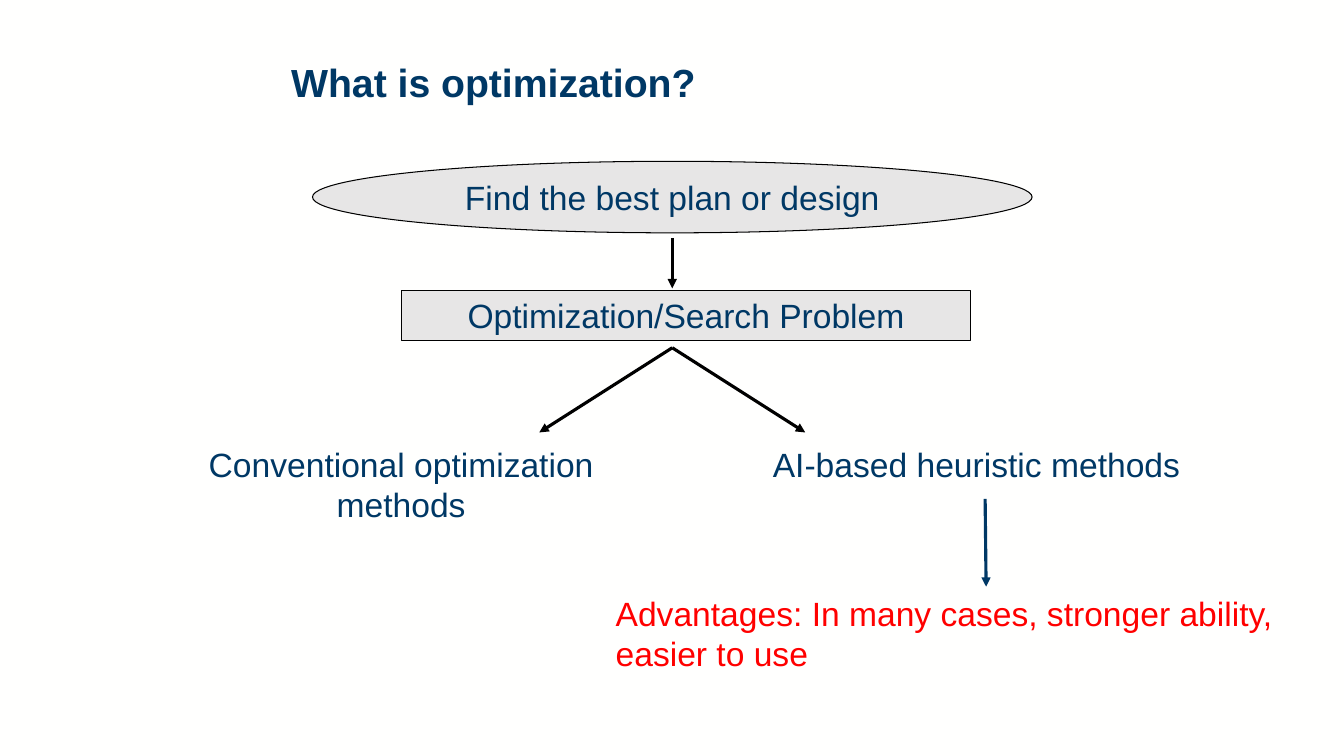
from lxml.etree import SubElement
from pptx import Presentation
from pptx.dml.color import RGBColor
from pptx.enum.shapes import MSO_CONNECTOR as Connector, MSO_SHAPE as Shape
from pptx.enum.text import MSO_ANCHOR as Anchor, PP_ALIGN as Align
from pptx.oxml.ns import qn
from pptx.util import Pt

NAVY = RGBColor(0x00, 0x38, 0x65)
RED = RGBColor(0xFF, 0x00, 0x00)
BLACK = RGBColor(0x00, 0x00, 0x00)
GREY = RGBColor(0xE7, 0xE6, 0xE6)
PAPER = RGBColor(0xFF, 0xFF, 0xFE)


def write(holder, text, size=24, color=NAVY, bold=False, align=Align.LEFT,
          anchor=Anchor.TOP, spacing=1.0):
    frame = holder.text_frame
    frame.word_wrap = True
    frame.vertical_anchor = anchor
    paragraph = frame.paragraphs[0]
    paragraph.alignment = align
    paragraph.line_spacing = spacing
    run = paragraph.add_run()
    run.text = text
    run.font.name = "Arial"
    run.font.size = Pt(size)
    run.font.bold = bold
    run.font.color.rgb = color


def add_label(slide, box, text, **style):
    write(slide.shapes.add_textbox(*map(Pt, box)), text, **style)


def add_node(slide, kind, box, text):
    node = slide.shapes.add_shape(kind, *map(Pt, box))
    node.shadow.inherit = False
    node.fill.solid()
    node.fill.fore_color.rgb = GREY
    node.line.color.rgb = BLACK
    node.line.width = Pt(0.75)
    write(node, text, align=Align.CENTER, anchor=Anchor.MIDDLE)


def add_arrow(slide, start, end, color=BLACK):
    arrow = slide.shapes.add_connector(
        Connector.STRAIGHT, *map(Pt, (*start, *end)))
    arrow.line.color.rgb = color
    arrow.line.width = Pt(2.25)
    SubElement(arrow.line._get_or_add_ln(), qn("a:tailEnd"), type="triangle")
    SubElement(arrow._element.spPr, qn("a:effectLst"))


def add_problem(slide, left, top, width, height):
    goal_height, problem_height = 51.1, 36
    problem_top = top + 92.2
    center = left + width / 2
    add_node(slide, Shape.RECTANGLE,
             (left + 63.4, problem_top, 406.8, problem_height),
             "Optimization/Search Problem")
    add_node(slide, Shape.OVAL, (left, top, width, goal_height),
             "Find the best plan or design")
    add_arrow(slide, (center, top + goal_height + 3.7),
              (center, problem_top - 1.4))
    fork = (center, problem_top + problem_height + 5)
    for reach in (-95, 95):
        add_arrow(slide, fork, (center + reach, top + height))


def add_methods(slide, left, top, width, height):
    heuristic_left = left + 438.5
    advantages_left = left + 326.2
    advantages_top = top + 106.6
    arrow_x = left + 597.2
    add_label(slide, (left, top, 360, 65.5),
              "Conventional optimization methods", align=Align.CENTER)
    add_label(slide, (heuristic_left, top, 360, 36),
              "AI-based heuristic methods")
    add_label(slide, (advantages_left, advantages_top,
                      left + width - advantages_left,
                      top + height - advantages_top),
              "Advantages: In many cases, stronger ability, easier to use",
              color=RED)
    add_arrow(slide, (arrow_x, top + 43.2),
              (arrow_x + 0.7, advantages_top - 0.7), NAVY)


def main():
    deck = Presentation()
    deck.slide_width, deck.slide_height = Pt(960), Pt(540)
    slide = deck.slides.add_slide(deck.slide_layouts[6])
    slide.background.fill.solid()
    slide.background.fill.fore_color.rgb = PAPER
    add_label(slide, (200.9, 41.8, 725, 69.8), "What is optimization?",
              size=28, bold=True, spacing=0.9)
    add_problem(slide, 223.2, 115.2, 514, 193.7)
    add_methods(slide, 106.5, 313.2, 839.5, 172)
    deck.save("out.pptx")


if __name__ == "__main__":
    main()
